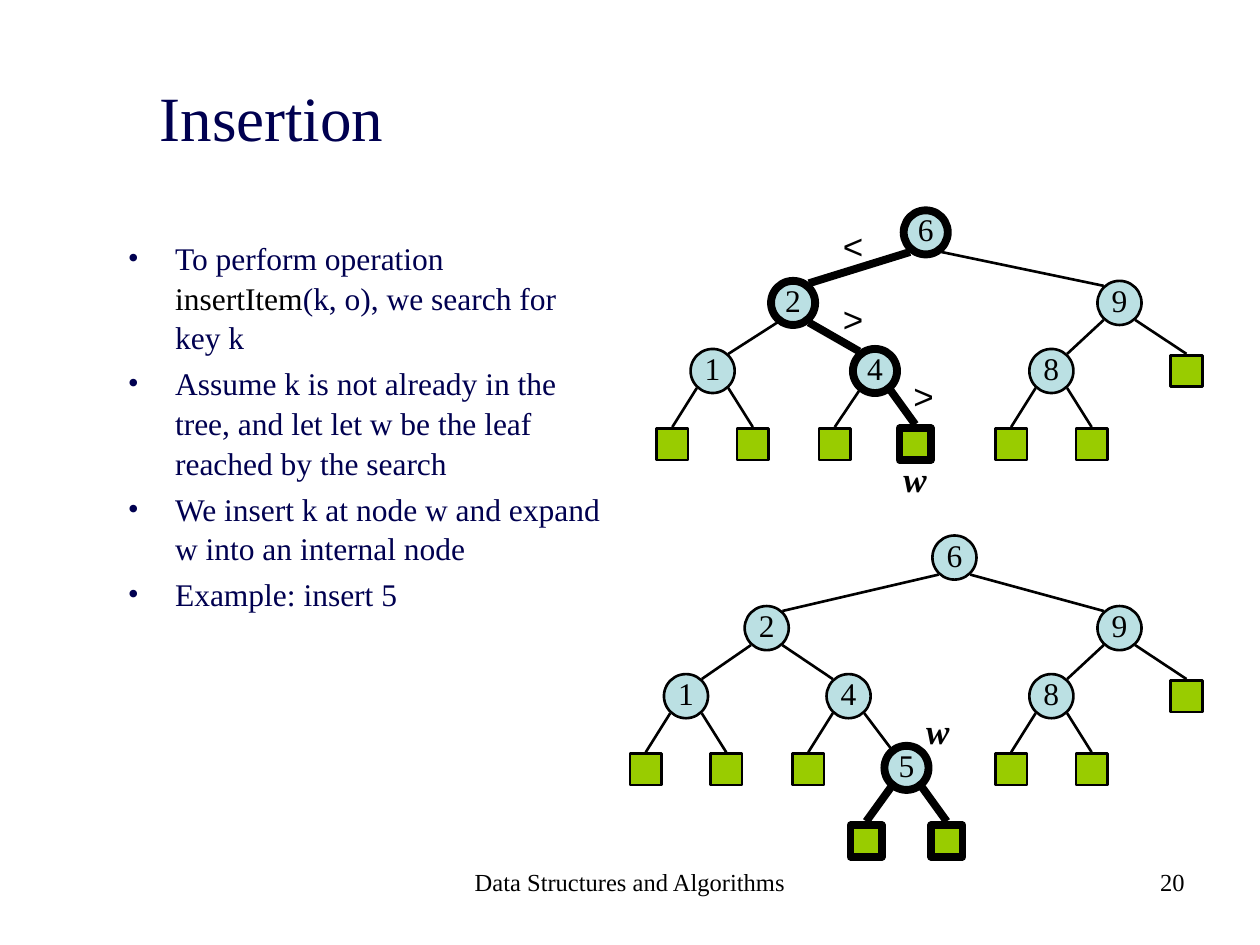
from dataclasses import dataclass
from typing import Any, Optional

from lxml.etree import SubElement
from pptx import Presentation
from pptx.dml.color import RGBColor
from pptx.enum.shapes import MSO_CONNECTOR as Connector, MSO_SHAPE as Shape
from pptx.enum.text import MSO_ANCHOR as Anchor, PP_ALIGN as Align
from pptx.oxml.ns import qn
from pptx.util import Pt

BLACK = RGBColor(0x00, 0x00, 0x00)
NAVY = RGBColor(0x00, 0x00, 0x50)
PALE_BLUE = RGBColor(0xBB, 0xE0, 0xE3)
GREEN = RGBColor(0x99, 0xCC, 0x00)
SERIF, SANS = "Times New Roman", "Arial"
THIN, THICK = 1.5, 4.5
NODE_SIZE, LEAF_SIZE = 25.2, 18
EDGE_INSET = 9
EDGE_REACH = {THIN: 9.75, THICK: 11.2}


@dataclass(frozen=True)
class Node:
    """A tree node, centred at x and at y below the root."""
    x: float
    y: float
    key: str = ""
    width: float = THIN
    left: Optional["Node"] = None
    right: Optional["Node"] = None


@dataclass(frozen=True)
class Label:
    """A free text box with one run."""
    text: str
    box: tuple[float, float, float, float]
    align: Any = Align.CENTER
    font: str = SERIF
    size: float = 20
    strong: bool = False


def bottom(x: float, y: float, key: str, width: float = THIN,
           left: float = THIN, right: float | Node = THIN) -> Node:
    """Return an inner node whose children are leaves unless a node is given."""
    def leaf(side: int, line: float) -> Node:
        """Return a leaf below the node on the given side."""
        return Node(x + side * 23, y + 41.8, width=line)
    last = right if isinstance(right, Node) else leaf(1, right)
    return Node(x, y, key, width, leaf(-1, left), last)


NINE = Node(639.7, 40.3, "9", THIN, bottom(600.8, 79.2, "8"), Node(678, 79.2))
BEFORE = Node(529, 0, "6", THICK,
              Node(453.2, 40.3, "2", THICK, bottom(407.2, 79.2, "1"),
                   bottom(500, 79.2, "4", THICK, right=THICK)), NINE)
FIVE = bottom(518, 120.2, "5", THICK, THICK, THICK)
AFTER = Node(545.4, 0, "6", THIN,
             Node(438.1, 40.3, "2", THIN, bottom(392, 79.2, "1"),
                  bottom(484.9, 79.2, "4", right=FIVE)), NINE)
TREES = [(BEFORE, 132.8), (AFTER, 318.6)]

LABELS = [
    Label("Data Structures and Algorithms", (246, 492, 228, 37.5), size=14),
    Label("20", (516, 492, 168, 37.5), Align.RIGHT, size=14),
    Label("<", (474.5, 124.5, 25.2, 31), font=SANS),
    Label(">", (474.5, 166.3, 25.2, 31), font=SANS),
    Label(">", (514.8, 210.2, 25.2, 31), font=SANS),
    Label("w", (509, 257.8, 28, 31), strong=True),
    Label("w", (522, 401.8, 28, 31), strong=True),
]
BULLETS = [
    [("To perform operation ", NAVY), ("insertItem", BLACK),
     ("(k, o), we search for key k", NAVY)],
    [("Assume k is not already in the tree, and let let w be the leaf "
      "reached by the search", NAVY)],
    [("We insert k at node w and expand w into an internal node", NAVY)],
    [("Example: insert 5", NAVY)],
]


def apply(target: Any, values: dict[str, Any]) -> None:
    """Set every named attribute on the target."""
    for name, value in values.items():
        setattr(target, name, value)


def add_run(paragraph: Any, text: str, size: float, color: RGBColor = BLACK,
            font: str = SERIF, strong: bool = False) -> None:
    """Append one formatted run."""
    run = paragraph.add_run()
    run.text = text
    apply(run.font, {"name": font, "size": Pt(size), "bold": strong, "italic": strong})
    run.font.color.rgb = color


def draw_node(slide: Any, node: Node, top: float) -> None:
    """Draw a keyed circle or an empty square leaf."""
    kind, size, color = ((Shape.OVAL, NODE_SIZE, PALE_BLUE) if node.key
                         else (Shape.RECTANGLE, LEAF_SIZE, GREEN))
    shape = slide.shapes.add_shape(kind, Pt(node.x - size / 2), Pt(top + node.y - size / 2),
                                   Pt(size), Pt(size))
    shape.shadow.inherit = False
    shape.fill.solid()
    shape.fill.fore_color.rgb = color
    shape.line.color.rgb = BLACK
    shape.line.width = Pt(node.width)
    if node.key:
        frame = shape.text_frame
        apply(frame, {"margin_left": 0, "margin_right": 0, "margin_top": 0,
                      "margin_bottom": Pt(3.6), "word_wrap": False,
                      "vertical_anchor": Anchor.MIDDLE})
        frame.paragraphs[0].alignment = Align.CENTER
        add_run(frame.paragraphs[0], node.key, 18)


def draw_edge(slide: Any, parent: Node, child: Node, side: int, top: float) -> None:
    """Join a parent to its child on the given side."""
    inset = side * EDGE_INSET
    child_x = child.x - inset if child.key else child.x
    line = slide.shapes.add_connector(
        Connector.STRAIGHT, Pt(child_x), Pt(top + child.y - EDGE_REACH[child.width]),
        Pt(parent.x + inset), Pt(top + parent.y + EDGE_REACH[parent.width]))
    line.line.color.rgb = BLACK
    line.line.width = Pt(min(parent.width, child.width))
    SubElement(line._element.spPr, qn("a:effectLst"))


def draw_tree(slide: Any, node: Node, top: float) -> None:
    """Draw a node, its subtrees and the edges to them."""
    draw_node(slide, node, top)
    for side, child in ((-1, node.left), (1, node.right)):
        if child:
            draw_tree(slide, child, top)
            draw_edge(slide, node, child, side, top)


def draw_label(slide: Any, label: Label) -> None:
    """Draw one free label."""
    frame = slide.shapes.add_textbox(*map(Pt, label.box)).text_frame
    frame.word_wrap = label.size == 14
    frame.paragraphs[0].alignment = label.align
    add_run(frame.paragraphs[0], label.text, label.size, font=label.font, strong=label.strong)


def draw_title(slide: Any) -> None:
    """Place and format the title."""
    title = slide.shapes.title
    apply(title, {"left": Pt(84), "top": Pt(21.6), "width": Pt(600), "height": Pt(90)})
    title.text_frame.vertical_anchor = Anchor.MIDDLE
    paragraph = title.text_frame.paragraphs[0]
    paragraph.alignment = Align.LEFT
    add_run(paragraph, "Insertion", 36, NAVY)


def draw_bullets(slide: Any) -> None:
    """Write the bulleted explanation."""
    frame = slide.shapes.add_textbox(Pt(66), Pt(132), Pt(288), Pt(342)).text_frame
    frame.word_wrap = True
    for index, runs in enumerate(BULLETS):
        paragraph = frame.add_paragraph() if index else frame.paragraphs[0]
        apply(paragraph, {"space_before": Pt(3.6), "line_spacing": 1.05})
        properties = paragraph._p.get_or_add_pPr()
        properties.set("marL", str(Pt(27)))
        properties.set("indent", str(Pt(-27)))
        SubElement(properties, qn("a:buFont"), typeface=SERIF)
        SubElement(properties, qn("a:buChar"), char="•")
        for text, color in runs:
            add_run(paragraph, text, 18, color)


def main() -> None:
    """Build and save the slide."""
    presentation = Presentation()
    apply(presentation, {"slide_width": Pt(720), "slide_height": Pt(540)})
    slide = presentation.slides.add_slide(presentation.slide_layouts[5])
    draw_title(slide)
    draw_bullets(slide)
    for root, top in TREES:
        draw_tree(slide, root, top)
    for label in LABELS:
        draw_label(slide, label)
    presentation.save("out.pptx")


main()
